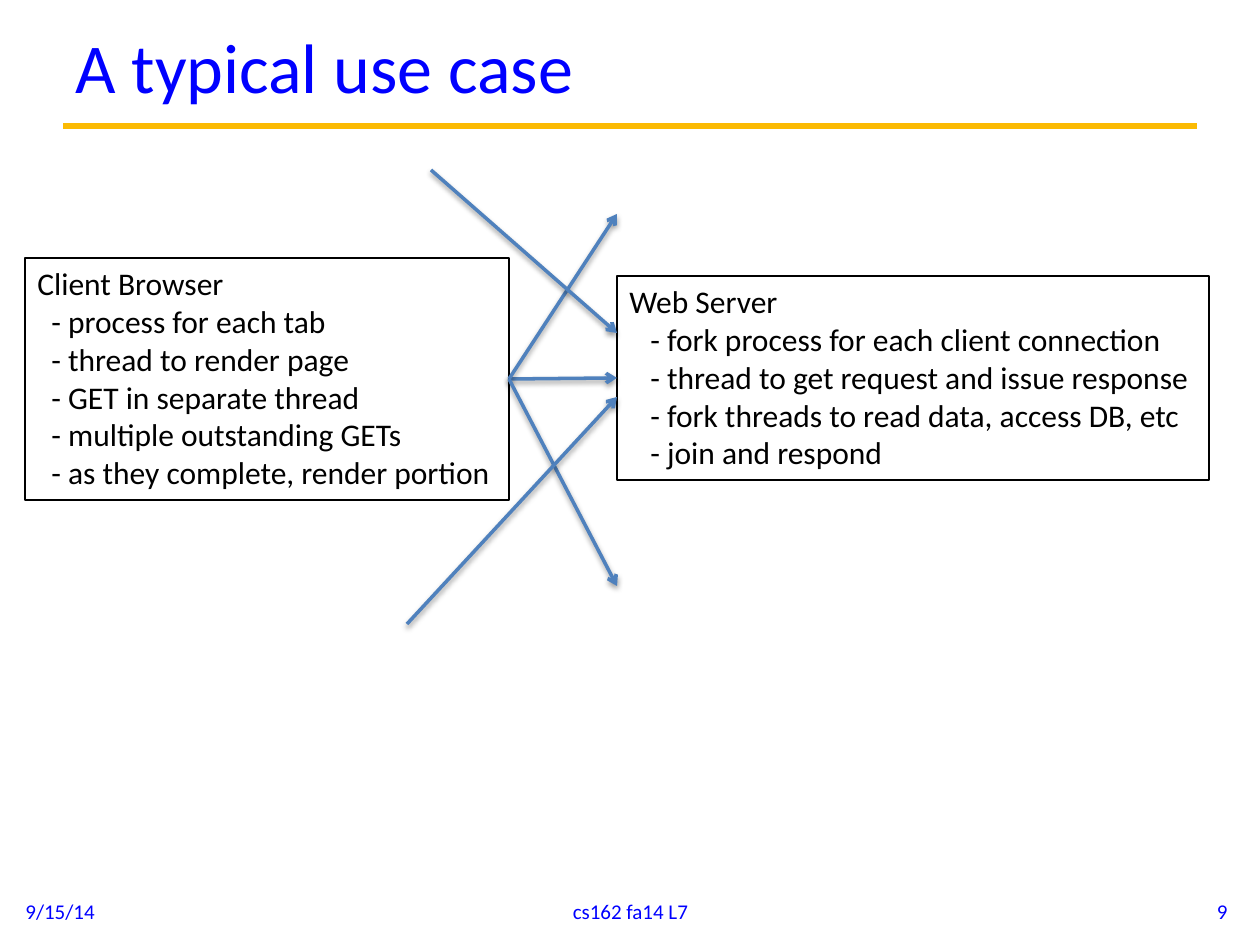
import dataclasses

import lxml.etree
import pptx
import pptx.dml.color
import pptx.enum.shapes
import pptx.enum.text
import pptx.oxml
import pptx.oxml.ns
import pptx.util

EMU_PER_PX = 914400 / 126
ALIGN = pptx.enum.text.PP_ALIGN
RIGHT_SIDE, LEFT_SIDE = 3, 1


@dataclasses.dataclass(frozen=True)
class Theme:
    font: str = "Calibri"
    heading: str = "0000FF"
    body: str = "000000"
    rule: str = "FBBA03"
    arrow: str = "4F81BD"
    title_size: int = 40
    body_size: int = 18
    footer_size: int = 12


THEME = Theme()


def px(length):
    return pptx.util.Emu(round(length * EMU_PER_PX))


def rgb(color):
    return pptx.dml.color.RGBColor.from_string(color)


def add_run(paragraph, text, size, color):
    run = paragraph.add_run()
    run.text = text
    run.font.name = THEME.font
    run.font.size = pptx.util.Pt(size)
    run.font.color.rgb = rgb(color)


def add_label(slide, bounds, text, size, align=ALIGN.LEFT):
    frame = slide.shapes.add_textbox(*map(px, bounds)).text_frame
    frame.word_wrap = True
    frame.vertical_anchor = pptx.enum.text.MSO_ANCHOR.MIDDLE
    paragraph = frame.paragraphs[0]
    paragraph.alignment = align
    add_run(paragraph, text, size, THEME.heading)


def add_role_box(slide, bounds, role, duties, indent):
    """Outlined box with a role on its first line and indented duties below."""
    box = slide.shapes.add_shape(
        pptx.enum.shapes.MSO_SHAPE.RECTANGLE, *map(px, bounds))
    box.shadow.inherit = False
    box.fill.background()
    box.line.color.rgb = rgb(THEME.body)
    box.line.width = pptx.util.Pt(0.75)
    frame = box.text_frame
    frame.word_wrap = False
    frame.auto_size = pptx.enum.text.MSO_AUTO_SIZE.SHAPE_TO_FIT_TEXT
    frame.vertical_anchor = pptx.enum.text.MSO_ANCHOR.TOP
    for index, text in enumerate([role] + [f"- {duty}" for duty in duties]):
        paragraph = frame.add_paragraph() if index else frame.paragraphs[0]
        paragraph.alignment = ALIGN.LEFT
        if index:
            paragraph._p.get_or_add_pPr().set("marL", str(px(indent)))
        add_run(paragraph, text, THEME.body_size, THEME.body)
    return box


def add_line(slide, start, end, color, width):
    """Straight line without a shadow; returns it with its empty effect list."""
    line = slide.shapes.add_connector(
        pptx.enum.shapes.MSO_CONNECTOR.STRAIGHT, *map(px, start + end))
    line.line.color.rgb = rgb(color)
    line.line.width = pptx.util.Pt(width)
    effects = lxml.etree.SubElement(
        line._element.spPr, pptx.oxml.ns.qn("a:effectLst"))
    return line, effects


def add_arrow(slide, start, end):
    arrow, effects = add_line(slide, start, end, THEME.arrow, 2)
    lxml.etree.SubElement(
        arrow.line._get_or_add_ln(), pptx.oxml.ns.qn("a:tailEnd"), type="arrow")
    effects.append(pptx.oxml.parse_xml(
        f'<a:outerShdw {pptx.oxml.ns.nsdecls("a")} blurRad="40000" dist="20000"'
        ' dir="5400000" rotWithShape="0"><a:srgbClr val="000000">'
        '<a:alpha val="38000"/></a:srgbClr></a:outerShdw>'))
    return arrow


def main():
    deck = pptx.Presentation()
    deck.slide_width, deck.slide_height = px(1260), px(945)
    slide = deck.slides.add_slide(deck.slide_layouts[6])

    add_line(slide, (63, 126), (1197, 126), THEME.rule, 3.75)
    add_label(slide, (63, 5, 1134, 121), "A typical use case", THEME.title_size)
    for left, width, text, align in (
        (13, 294, "9/15/14", ALIGN.LEFT),
        (431, 399, "cs162 fa14 L7", ALIGN.CENTER),
        (946, 294, "9", ALIGN.RIGHT),
    ):
        add_label(slide, (left, 886, width, 50), text, THEME.footer_size, align)

    client = add_role_box(slide, (25, 258, 484, 242), "Client Browser", [
        "process for each tab",
        "thread to render page",
        "GET in separate thread",
        "multiple outstanding GETs",
        "as they complete, render portion",
    ], indent=14)
    server = add_role_box(slide, (617, 276, 592, 204), "Web Server", [
        "fork process for each client connection",
        "thread to get request and issue response",
        "fork threads to read data, access DB, etc",
        "join and respond",
    ], indent=21)

    client_port, server_port = (509, 379), (617, 378)
    request = add_arrow(slide, client_port, server_port)
    request.begin_connect(client, RIGHT_SIDE)
    request.end_connect(server, LEFT_SIDE)
    for other_server_y in (214, 586):
        to_other_server = add_arrow(slide, client_port, (617, other_server_y))
        to_other_server.begin_connect(client, RIGHT_SIDE)
    for other_client, arrival_y in (((407, 624), 397), ((431, 170), 333)):
        add_arrow(slide, other_client, (617, arrival_y))

    deck.save("out.pptx")


if __name__ == "__main__":
    main()
